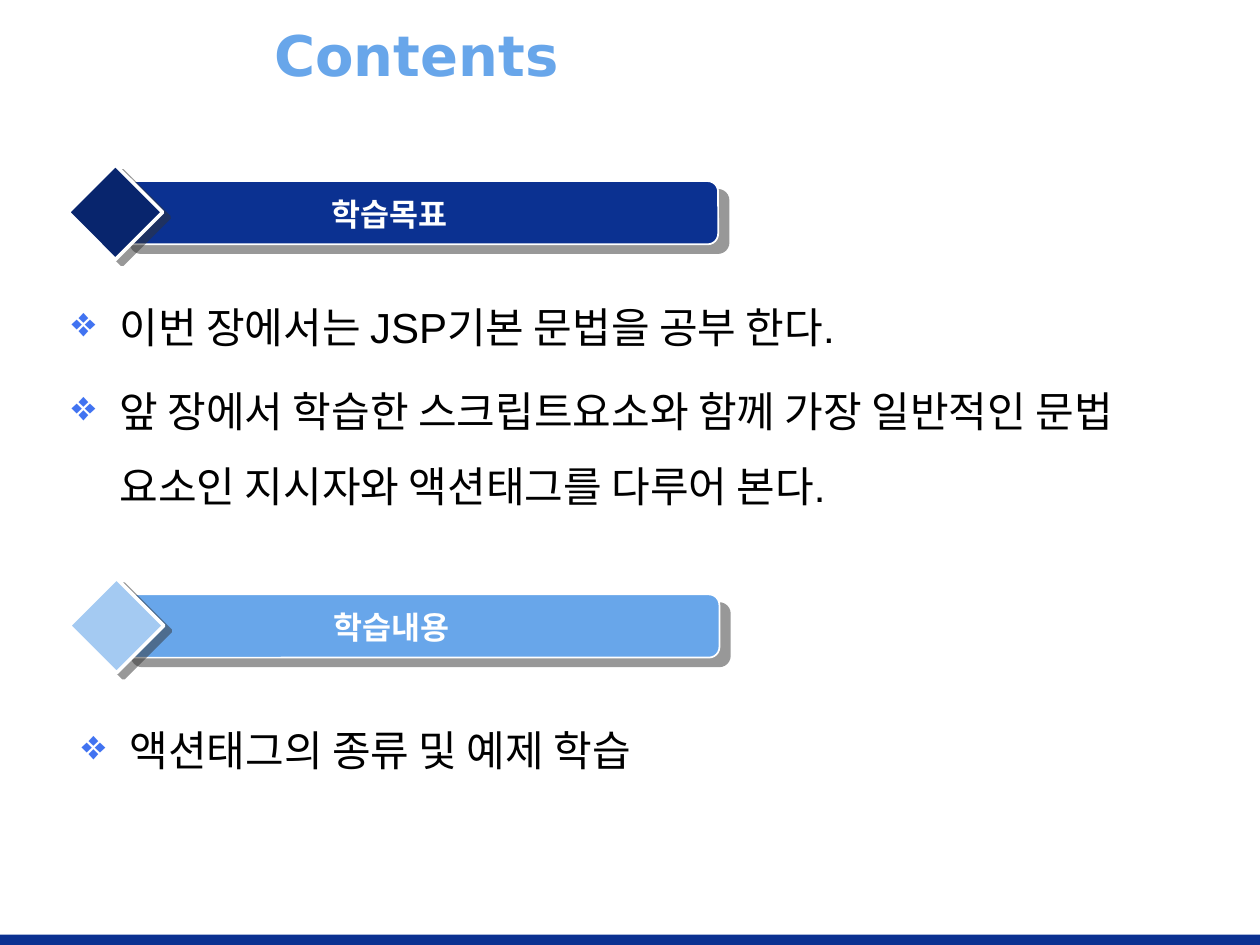
from lxml import etree
from pptx import Presentation
from pptx.dml.color import RGBColor
from pptx.enum.shapes import MSO_SHAPE
from pptx.enum.text import MSO_ANCHOR, PP_ALIGN
from pptx.oxml.ns import qn
from pptx.util import Inches, Pt

RECT, ROUNDED, DIAMOND = MSO_SHAPE.RECTANGLE, MSO_SHAPE.ROUNDED_RECTANGLE, MSO_SHAPE.DIAMOND
MIDDLE, LEFT, CENTER = MSO_ANCHOR.MIDDLE, PP_ALIGN.LEFT, PP_ALIGN.CENTER

COLORS = {
    "navy": "0B3191", "deep": "08256D", "sky": "68A6EA", "pale": "A4CAF2",
    "bullet": "4173F1", "shadow": "333333", "white": "FFFFFF", "black": "000000",
}
WIDTH, HEIGHT = 10, 7.5
BANNER_W, BANNER_H = 5.16, 0.75
INDENT = 0.38


def rgb(name):
    return RGBColor.from_string(COLORS[name])


def part_of(box, left, top, width, height):
    """Turn shares of a box into a box in inches."""
    x, y, w, h = box
    return x + left * w, y + top * h, width * w, height * h


def inches(box):
    return [Inches(length) for length in box]


def style_font(paragraph, size, color, face="Arial", bold=False):
    font = paragraph.font
    font.size, font.name, font.bold = Pt(size), face, bold
    font.color.rgb = rgb(color)


def add_shadow(shape, distance, angle):
    effects = etree.SubElement(shape._element.spPr, qn("a:effectLst"))
    shadow = etree.SubElement(effects, qn("a:outerShdw"), blurRad="0", dist=str(Pt(distance)),
                              dir=str(angle * 60000), algn="ctr", rotWithShape="0")
    tint = etree.SubElement(shadow, qn("a:srgbClr"), val=COLORS["shadow"])
    etree.SubElement(tint, qn("a:alpha"), val="50000")


def add_figure(shapes, kind, box, fill, outline=None):
    figure = shapes.add_shape(kind, *inches(box))
    figure.fill.solid()
    figure.fill.fore_color.rgb = rgb(fill)
    if outline:
        figure.line.color.rgb = rgb("white")
        figure.line.width = Pt(outline)
    else:
        figure.line.fill.background()
        figure.shadow.inherit = False
    return figure


def add_text(shapes, box):
    frame = shapes.add_textbox(*inches(box)).text_frame
    frame.word_wrap = True
    return frame


def add_title(slide, box, title):
    frame = add_text(slide.shapes, box)
    frame.vertical_anchor = MIDDLE
    heading = frame.paragraphs[0]
    heading.text, heading.alignment = title, LEFT
    style_font(heading, 32, "sky", "DejaVu Sans", True)


def add_banner(slide, box, label, bar_color, diamond_color):
    shapes = slide.shapes.add_group_shape().shapes
    # Bar behind the diamond
    bar = add_figure(shapes, ROUNDED, part_of(box, 0.08, 0.17, 0.92, 0.67), bar_color, 1)
    bar.adjustments[0] = 0.167
    add_shadow(bar, 7.8, 40)
    # Square diamond filling the height of the banner
    diamond = add_figure(shapes, DIAMOND, (*box[:2], box[3], box[3]), diamond_color, 2)
    add_shadow(diamond, 5, 37)
    # Label
    caption = add_text(shapes, part_of(box, 0.13, 0.25, 0.73, 0.53)).paragraphs[0]
    caption.text, caption.alignment = label, CENTER
    style_font(caption, 18, "white", bold=True)


def add_bullets(slide, box, items, face):
    frame = add_text(slide.shapes, box)
    for number, item in enumerate(items):
        point = frame.add_paragraph() if number else frame.paragraphs[0]
        point.text = item
        point.line_spacing, point.space_before = 1.5, Pt(4.8)
        properties = point._p.get_or_add_pPr()
        properties.set("marL", str(Inches(INDENT)))
        properties.set("indent", str(-Inches(INDENT)))
        tint = etree.SubElement(properties, qn("a:buClr"))
        etree.SubElement(tint, qn("a:srgbClr"), val=COLORS["bullet"])
        etree.SubElement(properties, qn("a:buChar"), char="❖")
        style_font(point, 24, "black", face)


def main():
    deck = Presentation()
    deck.slide_width, deck.slide_height = Inches(WIDTH), Inches(HEIGHT)
    slide = deck.slides.add_slide(deck.slide_layouts[6])
    page = (0, 0, WIDTH, HEIGHT)

    # Footer strip and title
    add_figure(slide.shapes, RECT, part_of(page, 0, 0.989, 1, 0.011), "navy")
    add_title(slide, (2.08, 0.12, 7.17, 0.62), "Contents")

    # Learning goals
    add_banner(slide, (0.54, 1.31, BANNER_W, BANNER_H), "학습목표", "navy", "deep")
    add_bullets(slide, (0.47, 2.14, 8.91, 1.95), [
        "이번 장에서는 JSP기본 문법을 공부 한다.",
        "앞 장에서 학습한 스크립트요소와 함께 가장 일반적인 문법 요소인 지시자와 액션태그를 다루어 본다.",
    ], "Arial")

    # Learning content
    add_banner(slide, (0.55, 4.59, BANNER_W, BANNER_H), "학습내용", "sky", "pale")
    add_bullets(slide, (0.55, 5.5, 8.05, 1.8), ["액션태그의 종류 및 예제 학습"], "DejaVu Sans")

    deck.save("out.pptx")


if __name__ == "__main__":
    main()
